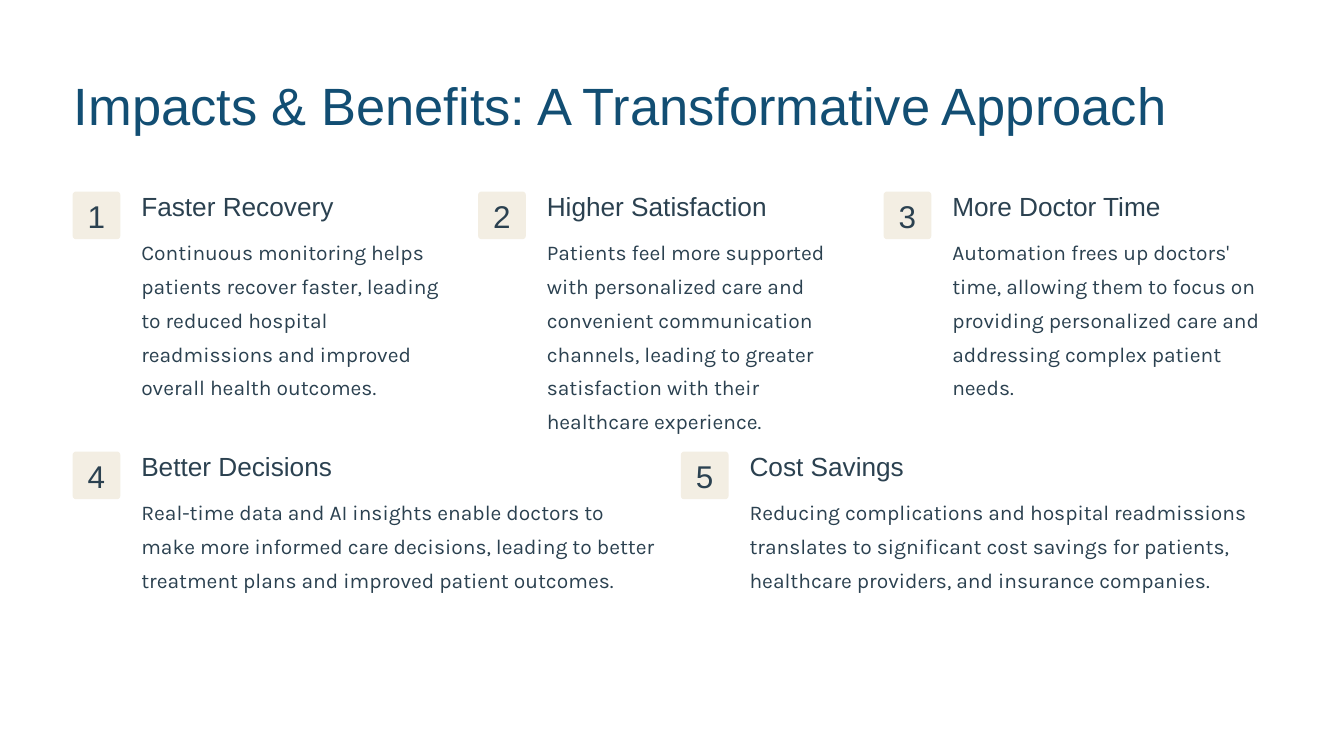
from dataclasses import dataclass

from pptx import Presentation
from pptx.dml import color
from pptx.enum import shapes, text
from pptx.util import Pt

COLOURS = {"page": "FFFFFF", "title": "124E73", "body": "2B4150", "badge": "F3EEE3"}
LEFT, SPAN, BADGE, INDENT, GUTTER = 77.8, 1303.4, 51.1, 73.6, 96
NUMBER_WIDTH = 22


@dataclass(frozen=True)
class Benefit:
    heading: str
    detail: str


@dataclass(frozen=True)
class Row:
    top: float
    detail_height: float
    benefits: tuple[Benefit, ...]


ROWS = (
    Row(205.2, 188, (
        Benefit("Faster Recovery",
                "Continuous monitoring helps patients recover faster, leading to reduced "
                "hospital readmissions and improved overall health outcomes."),
        Benefit("Higher Satisfaction",
                "Patients feel more supported with personalized care and convenient "
                "communication channels, leading to greater satisfaction with their "
                "healthcare experience."),
        Benefit("More Doctor Time",
                "Automation frees up doctors' time, allowing them to focus on providing "
                "personalized care and addressing complex patient needs."),
    )),
    Row(483.8, 116, (
        Benefit("Better Decisions",
                "Real-time data and AI insights enable doctors to make more informed care "
                "decisions, leading to better treatment plans and improved patient outcomes."),
        Benefit("Cost Savings",
                "Reducing complications and hospital readmissions translates to significant "
                "cost savings for patients, healthcare providers, and insurance companies."),
    )),
)


def rgb(name: str) -> color.RGBColor:
    """Return the named colour."""
    return color.RGBColor.from_string(COLOURS[name])


def add_text(page, words: str, left: float, top: float, width: float, height: float, *,
             size: float, leading: float, font: str = "Arial", colour: str = "body",
             align=text.PP_ALIGN.LEFT) -> None:
    """Add one paragraph in a text box without margins."""
    box = page.shapes.add_textbox(Pt(left), Pt(top), Pt(width), Pt(height))
    frame = box.text_frame
    frame.margin_left = frame.margin_right = frame.margin_top = frame.margin_bottom = 0
    frame.word_wrap = True
    frame.auto_size = text.MSO_AUTO_SIZE.SHAPE_TO_FIT_TEXT
    para = frame.paragraphs[0]
    para.alignment = align
    para.line_spacing = Pt(leading)
    span = para.add_run()
    span.text = words
    span.font.name = font
    span.font.size = Pt(size)
    span.font.color.rgb = rgb(colour)


def add_badge(page, number: int, left: float, top: float) -> None:
    """Add a rounded square with a centred number."""
    badge = page.shapes.add_shape(shapes.MSO_SHAPE.ROUNDED_RECTANGLE,
                                  Pt(left), Pt(top), Pt(BADGE), Pt(BADGE))
    badge.adjustments[0] = 0.07
    badge.shadow.inherit = False
    badge.fill.solid()
    badge.fill.fore_color.rgb = rgb("badge")
    badge.line.fill.background()
    add_text(page, str(number), left + (BADGE - NUMBER_WIDTH) / 2, top + 12.2,
             NUMBER_WIDTH, 30.2, size=33.7, leading=33.7, align=text.PP_ALIGN.CENTER)


def add_benefit(page, number: int, benefit: Benefit, left: float, row: Row,
                width: float) -> None:
    """Add a numbered benefit with its heading and detail."""
    add_badge(page, number, left, row.top)
    add_text(page, benefit.heading, left + INDENT, row.top - 2.2, 283.7, 37.4,
             size=28.1, leading=35)
    add_text(page, benefit.detail, left + INDENT, row.top + 42.5, width, row.detail_height,
             size=22.5, leading=36.2, font="Karla")


def main() -> None:
    """Build and save the slide."""
    deck = Presentation()
    deck.slide_width, deck.slide_height = Pt(1440), Pt(810)
    page = deck.slides.add_slide(deck.slide_layouts[6])
    page.background.fill.solid()
    page.background.fill.fore_color.rgb = rgb("page")
    add_text(page, "Impacts & Benefits: A Transformative Approach", 79.2, 74.9, 1280.9, 146.9,
             size=56.2, leading=70.6, colour="title")
    number = 0
    for row in ROWS:
        pitch = SPAN / len(row.benefits)
        for column, benefit in enumerate(row.benefits):
            number += 1
            add_benefit(page, number, benefit, LEFT + column * pitch, row, pitch - GUTTER)
    deck.save("out.pptx")


if __name__ == "__main__":
    main()
